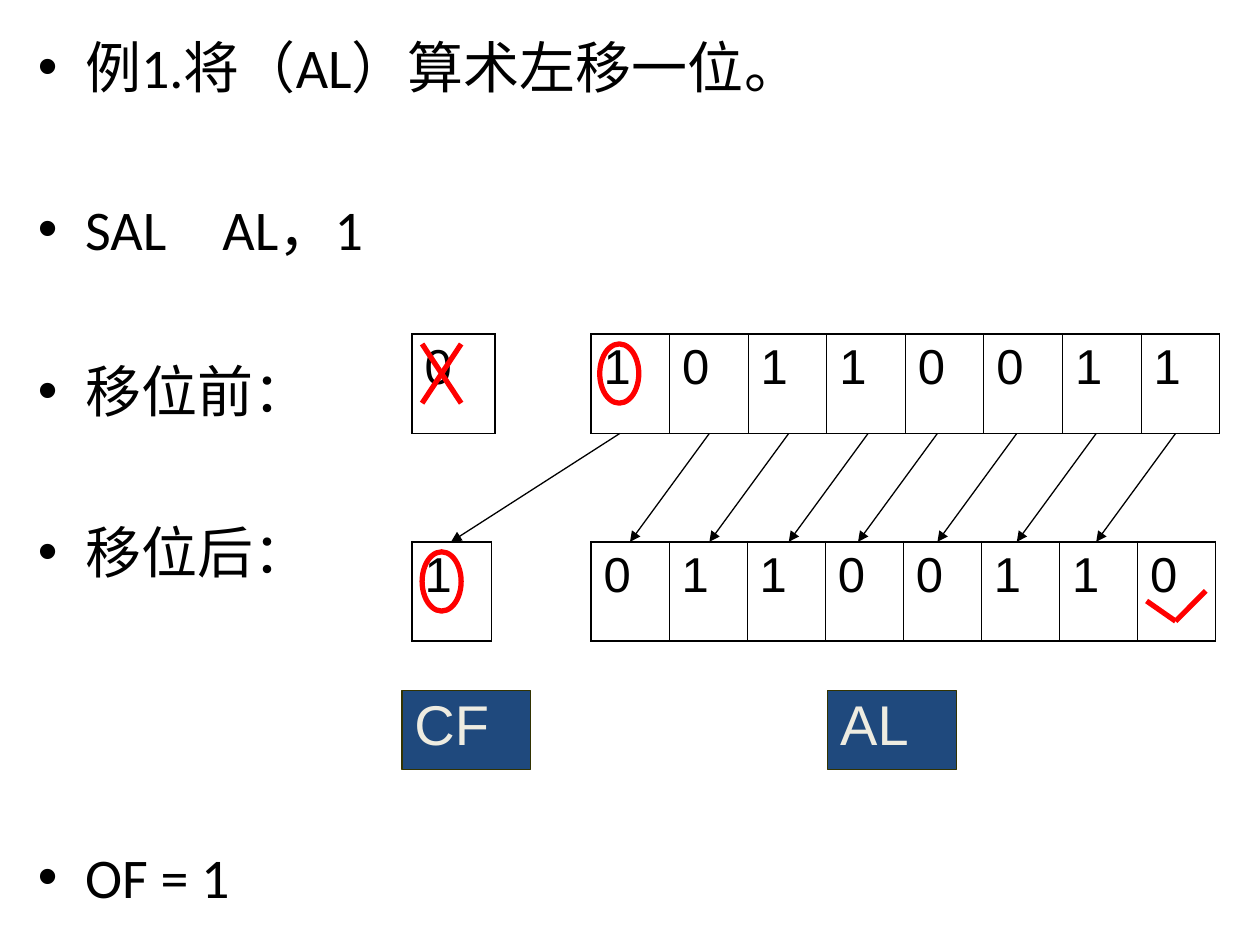
"""Build a slide showing an arithmetic left shift of AL by one bit."""
from dataclasses import dataclass

from lxml.etree import SubElement
from pptx import Presentation
from pptx.dml.color import RGBColor as RGB
from pptx.enum.shapes import MSO_CONNECTOR as LINE, MSO_SHAPE as SHAPE
from pptx.enum.text import MSO_ANCHOR as ANCHOR, MSO_AUTO_SIZE as FIT, PP_ALIGN as ALIGN
from pptx.oxml.ns import qn
from pptx.util import Inches, Pt


@dataclass(frozen=True)
class Theme:
    ink: RGB = RGB(0, 0, 0)
    mark: RGB = RGB(0xFF, 0, 0)
    label_fill: RGB = RGB(0x1F, 0x49, 0x7D)
    label_line: RGB = RGB(0x33, 0x33, 0)
    label_text: RGB = RGB(0xEE, 0xEC, 0xE1)
    body_font: str = "Calibri"
    bit_font: str = "Arial"
    body_size: int = 32
    bit_size: int = 28
    outer: float = 1.08
    inner: float = 0.45
    thin: float = 0.75
    thick: float = 3


theme = Theme()


def style(paragraph, font, size, color):
    paragraph.font.name = font
    paragraph.font.size = Pt(size)
    paragraph.font.color.rgb = color


def stroke(start, end, color, width, arrow=False):
    line = slide.shapes.add_connector(LINE.STRAIGHT, *map(Inches, start + end))
    line.line.color.rgb = color
    line.line.width = Pt(width)
    if arrow:
        SubElement(line.line._get_or_add_ln(), qn("a:tailEnd"), type="triangle")
    SubElement(line._element.spPr, qn("a:effectLst"))


prs = Presentation()
prs.slide_width, prs.slide_height = Inches(10), Inches(7.5)
slide = prs.slides.add_slide(prs.slide_layouts[1])
title, steps = slide.placeholders
title._element.getparent().remove(title._element)

steps.left, steps.top, steps.width, steps.height = map(Inches, (0.2, 0.21, 9.61, 7.09))
steps.text_frame.auto_size = FIT.NONE
steps.text_frame.text = "\n".join(
    ["例1.将（AL）算术左移一位。", "SAL　AL，1", "移位前：", "移位后：", "OF = 1"]
)
for step, gap in zip(steps.text_frame.paragraphs, (8, 54, 54, 54, 147)):
    step.space_before = Pt(gap)
    style(step, theme.body_font, theme.body_size, theme.ink)

carry_x, register_x = 3.27, 4.69
before_y, after_y, row_height = 2.65, 4.3, 0.79
before_bottom = before_y + row_height

registers = [
    (register_x, before_y, 4.99, "10110011"),
    (carry_x, before_y, 0.66, "0"),
    (carry_x, after_y, 0.63, "1"),
    (register_x, after_y, 4.96, "01100110"),
]
for x, y, width, bits in registers:
    table = slide.shapes.add_table(
        1, len(bits), *map(Inches, (x, y, width, row_height))
    ).table
    table.first_row = table.horz_banding = False
    for index, bit in enumerate(bits):
        table.columns[index].width = Inches(width / len(bits))
        cell = table.cell(0, index)
        cell.text = bit
        style(cell.text_frame.paragraphs[0], theme.bit_font, theme.bit_size, theme.ink)
        edges = {
            "a:lnL": theme.inner if index else theme.outer,
            "a:lnR": theme.inner if index < len(bits) - 1 else theme.outer,
            "a:lnT": theme.outer,
            "a:lnB": theme.outer,
        }
        for edge, weight in edges.items():
            border = SubElement(cell._tc.get_or_add_tcPr(), qn(edge), w=str(Pt(weight)))
            paint = SubElement(border, qn("a:solidFill"))
            SubElement(paint, qn("a:srgbClr"), val=str(theme.ink))
        cell.fill.background()

for x, name in ((3.19, "CF"), (6.57, "AL")):
    label = slide.shapes.add_shape(SHAPE.RECTANGLE, *map(Inches, (x, 5.48, 1.02, 0.63)))
    label.shadow.inherit = False
    label.fill.solid()
    label.fill.fore_color.rgb = theme.label_fill
    label.line.color.rgb = theme.label_line
    label.line.width = Pt(theme.thin)
    label.text_frame.text = name
    label.text_frame.vertical_anchor = ANCHOR.TOP
    caption = label.text_frame.paragraphs[0]
    caption.alignment = ALIGN.LEFT
    caption.line_spacing = 0.9
    style(caption, theme.bit_font, theme.body_size, theme.label_text)

shift, nudge = 0.63, 0.08
moves = [(4.92, 3.58)]
for bit in range(7):
    target = 5 + bit * shift - (nudge if bit > 2 else 0)
    moves.append((target + shift, target))
for source, target in moves:
    stroke((source, before_bottom), (target, after_y), theme.ink, theme.thin, arrow=True)

discard_cross = [((3.35, 2.73), (3.66, 3.2)), ((3.66, 2.73), (3.35, 3.2))]
zero_tick = [((9.1, 4.77), (9.33, 4.93)), ((9.33, 4.93), (9.57, 4.69))]
for start, end in discard_cross + zero_tick:
    stroke(start, end, theme.mark, theme.thick)

for x, y in ((4.76, 2.73), (3.35, 4.38)):
    ring = slide.shapes.add_shape(SHAPE.OVAL, *map(Inches, (x, y, 0.31, 0.47)))
    ring.shadow.inherit = False
    ring.fill.background()
    ring.line.color.rgb = theme.mark
    ring.line.width = Pt(theme.thick)

prs.save("out.pptx")
